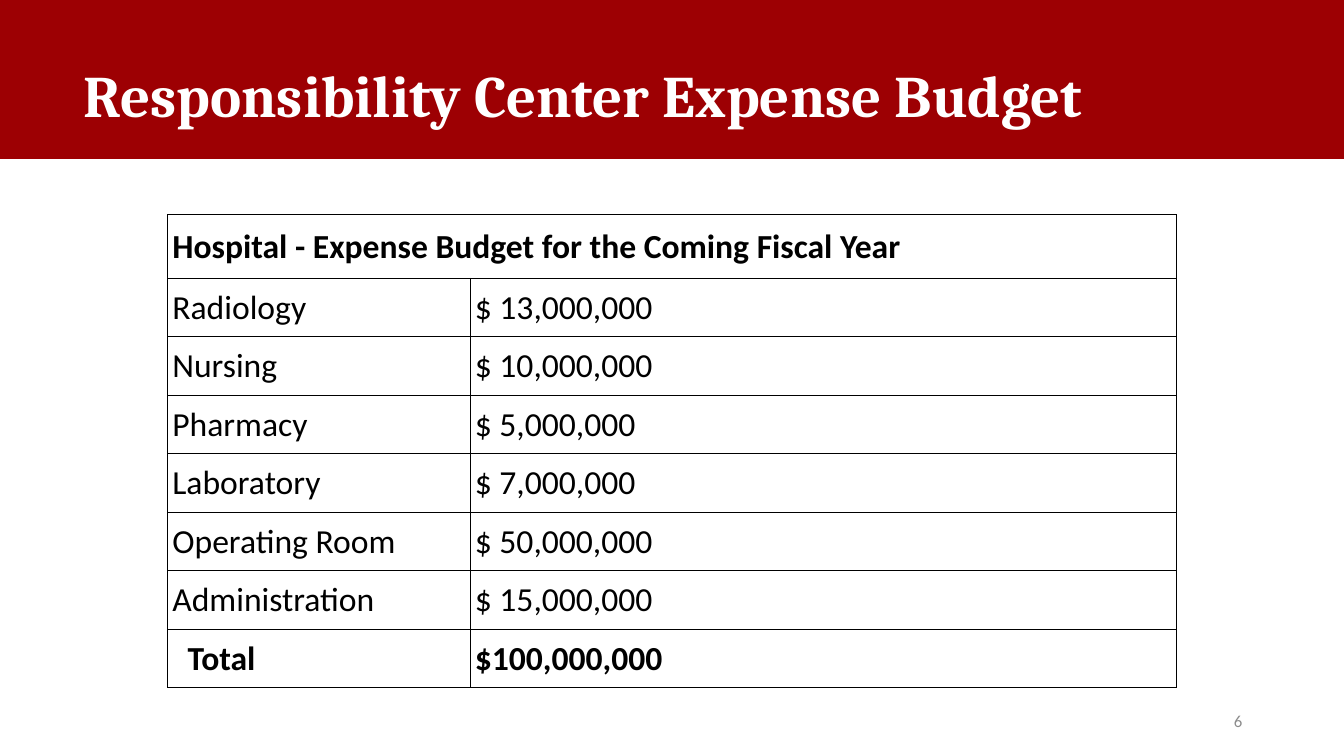
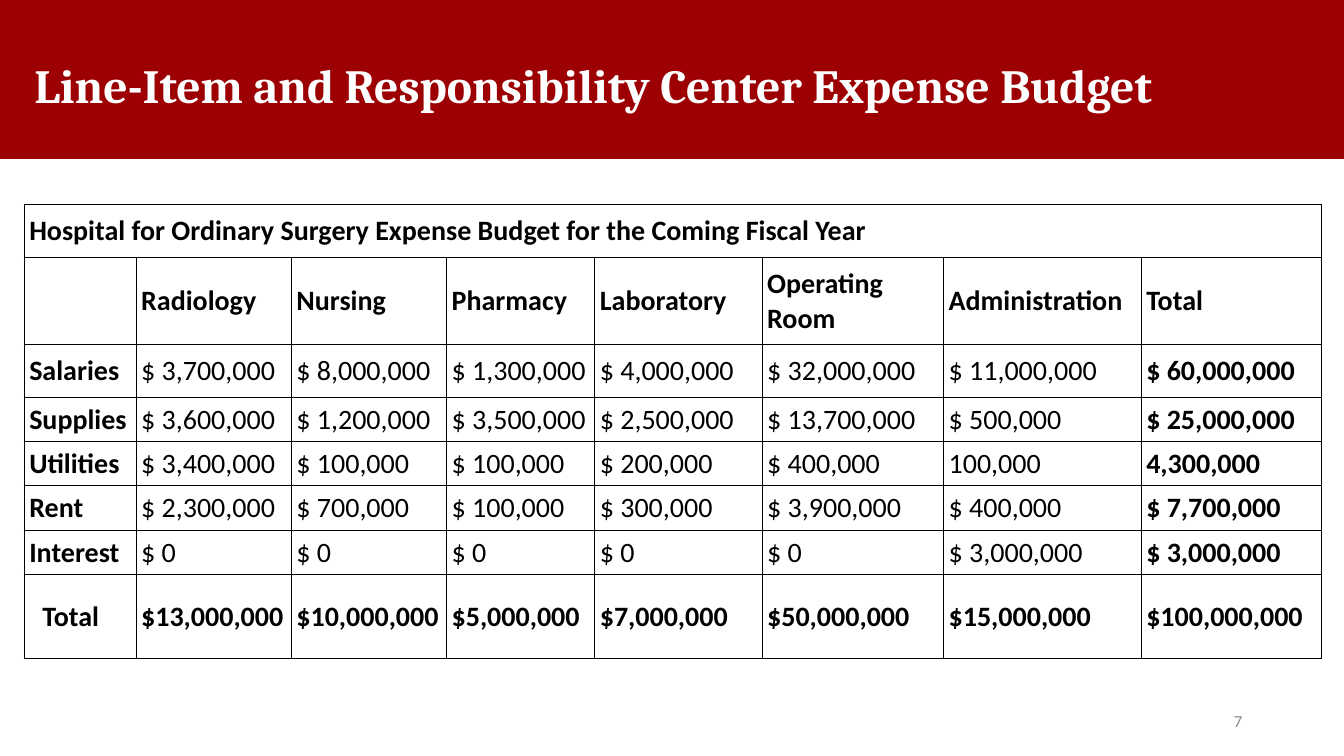
from dataclasses import dataclass

from lxml.etree import fromstring
from pptx import Presentation
from pptx.dml.color import RGBColor
from pptx.enum.shapes import MSO_SHAPE
from pptx.enum.text import MSO_ANCHOR, MSO_AUTO_SIZE, PP_ALIGN
from pptx.util import Inches, Pt

DRAWING = "http://schemas.openxmlformats.org/drawingml/2006/main"


@dataclass(frozen=True)
class Theme:
    red: RGBColor = RGBColor(0x9D, 0x00, 0x03)
    white: RGBColor = RGBColor(0xFF, 0xFF, 0xFF)
    black: RGBColor = RGBColor(0x00, 0x00, 0x00)
    gray: RGBColor = RGBColor(0x8C, 0x8C, 0x8C)
    title_font: str = "Cambria"
    body_font: str = "Calibri"
    title_size: int = 42
    long_title_size: int = 34
    table_size: int = 24
    dense_table_size: int = 20
    number_size: int = 12
    border_width: float = 0.5


class Deck:
    def __init__(self, theme):
        self.theme = theme
        self.presentation = Presentation()
        self.presentation.slide_width = Inches(13.33)
        self.presentation.slide_height = Inches(7.5)
        self.slide = None

    def add_slide(self, title, box, size, number):
        self.slide = self.presentation.slides.add_slide(self.presentation.slide_layouts[5])
        self.add_band()
        self.add_title(title, box, size)
        self.add_number(number)

    def style(self, paragraph, font_name, size, color, bold=False):
        font = paragraph.font
        font.name, font.size, font.bold = font_name, Pt(size), bold
        font.color.rgb = color

    def add_band(self):
        band = self.slide.shapes.add_shape(
            MSO_SHAPE.RECTANGLE, 0, 0, self.presentation.slide_width, Inches(1.57))
        band.shadow.inherit = False
        band.fill.solid()
        band.fill.fore_color.rgb = self.theme.red
        band.line.color.rgb = self.theme.red
        band.line.width = Pt(1)

    def add_title(self, text, box, size):
        title = self.slide.shapes.title
        self.slide.shapes._spTree.append(title._element)
        title.left, title.top, title.width, title.height = map(Inches, box)
        frame = title.text_frame
        frame.text = text
        frame.word_wrap = True
        frame.auto_size = MSO_AUTO_SIZE.NONE
        frame.vertical_anchor = MSO_ANCHOR.MIDDLE
        paragraph = frame.paragraphs[0]
        paragraph.alignment = PP_ALIGN.LEFT
        paragraph.line_spacing = 0.9
        self.style(paragraph, self.theme.title_font, size, self.theme.white, True)

    def add_number(self, number):
        box = self.slide.shapes.add_textbox(Inches(9.42), Inches(6.95), Inches(3), Inches(0.4))
        frame = box.text_frame
        frame.word_wrap = True
        frame.vertical_anchor = MSO_ANCHOR.MIDDLE
        frame.text = str(number)
        paragraph = frame.paragraphs[0]
        paragraph.alignment = PP_ALIGN.RIGHT
        self.style(paragraph, self.theme.body_font, self.theme.number_size, self.theme.gray)

    def add_table(self, left, top, widths, heights, rows, size, is_bold, total_indent):
        shape = self.slide.shapes.add_table(
            len(rows), len(widths), Inches(left), Inches(top),
            Inches(sum(widths)), Inches(sum(heights)))
        table = shape.table
        for column, width in zip(table.columns, widths):
            column.width = Inches(width)
        for row, height in zip(table.rows, heights):
            row.height = Inches(height)
        table.cell(0, 0).merge(table.cell(0, len(widths) - 1))
        for row_index, values in enumerate(rows):
            for column_index in range(len(widths)):
                text = values[column_index] if column_index < len(values) else ""
                self.fill_cell(table.cell(row_index, column_index), text, size,
                               is_bold(row_index, column_index))
        table.cell(len(rows) - 1, 0).margin_left = Inches(0.05 + total_indent)

    def fill_cell(self, cell, text, size, bold):
        cell.text = text
        cell.vertical_anchor = MSO_ANCHOR.MIDDLE
        cell.margin_left = cell.margin_right = Inches(0.05)
        cell.margin_top, cell.margin_bottom = Inches(0.02), Inches(0.01)
        cell.fill.solid()
        cell.fill.fore_color.rgb = self.theme.white
        self.style(cell.text_frame.paragraphs[0], self.theme.body_font, size,
                   self.theme.black, bold)
        properties = cell._tc.get_or_add_tcPr()
        for position, side in enumerate("LRTB"):
            properties.insert(position, fromstring(
                f'<a:ln{side} xmlns:a="{DRAWING}" w="{Pt(self.theme.border_width)}">'
                f'<a:solidFill><a:srgbClr val="{self.theme.black}"/></a:solidFill>'
                f'</a:ln{side}>'))


def main():
    theme = Theme()
    deck = Deck(theme)

    center_rows = [
        ["Hospital - Expense Budget for the Coming Fiscal Year"],
        ["Radiology", "$ 13,000,000"],
        ["Nursing", "$ 10,000,000"],
        ["Pharmacy", "$ 5,000,000"],
        ["Laboratory", "$ 7,000,000"],
        ["Operating Room", "$ 50,000,000"],
        ["Administration", "$ 15,000,000"],
        ["Total", "$100,000,000"],
    ]
    deck.add_slide("Responsibility Center Expense Budget",
                   (0.73, 0.25, 11.5, 1.45), theme.title_size, 6)
    deck.add_table(1.66, 2.13, [3, 7.01], [0.63] + [0.58] * 7, center_rows, theme.table_size,
                   lambda row, column: row in (0, 7), 0.15)

    line_item_rows = [
        ["Hospital for Ordinary Surgery Expense Budget for the Coming Fiscal Year"],
        ["", "Radiology", "Nursing", "Pharmacy", "Laboratory", "Operating Room",
         "Administration", "Total"],
        ["Salaries", "$ 3,700,000", "$ 8,000,000", "$ 1,300,000", "$ 4,000,000",
         "$ 32,000,000", "$ 11,000,000", "$ 60,000,000"],
        ["Supplies", "$ 3,600,000", "$ 1,200,000", "$ 3,500,000", "$ 2,500,000",
         "$ 13,700,000", "$ 500,000", "$ 25,000,000"],
        ["Utilities", "$ 3,400,000", "$ 100,000", "$ 100,000", "$ 200,000",
         "$ 400,000", "100,000", "4,300,000"],
        ["Rent", "$ 2,300,000", "$ 700,000", "$ 100,000", "$ 300,000",
         "$ 3,900,000", "$ 400,000", "$ 7,700,000"],
        ["Interest", "$ 0", "$ 0", "$ 0", "$ 0", "$ 0", "$ 3,000,000", "$ 3,000,000"],
        ["Total", "$13,000,000", "$10,000,000", "$5,000,000", "$7,000,000",
         "$50,000,000", "$15,000,000", "$100,000,000"],
    ]
    deck.add_slide("Line-Item and Responsibility Center Expense Budget",
                   (0.24, 0.15, 12.79, 1.45), theme.long_title_size, 7)
    deck.add_table(0.24, 2.03, [1.11, 1.54, 1.54, 1.47, 1.66, 1.8, 1.96, 1.79],
                   [0.52, 0.87, 0.52] + [0.44] * 4 + [0.83], line_item_rows,
                   theme.dense_table_size,
                   lambda row, column: row in (0, 1, 7) or column in (0, 7), 0.13)

    deck.presentation.save("out.pptx")


if __name__ == "__main__":
    main()
